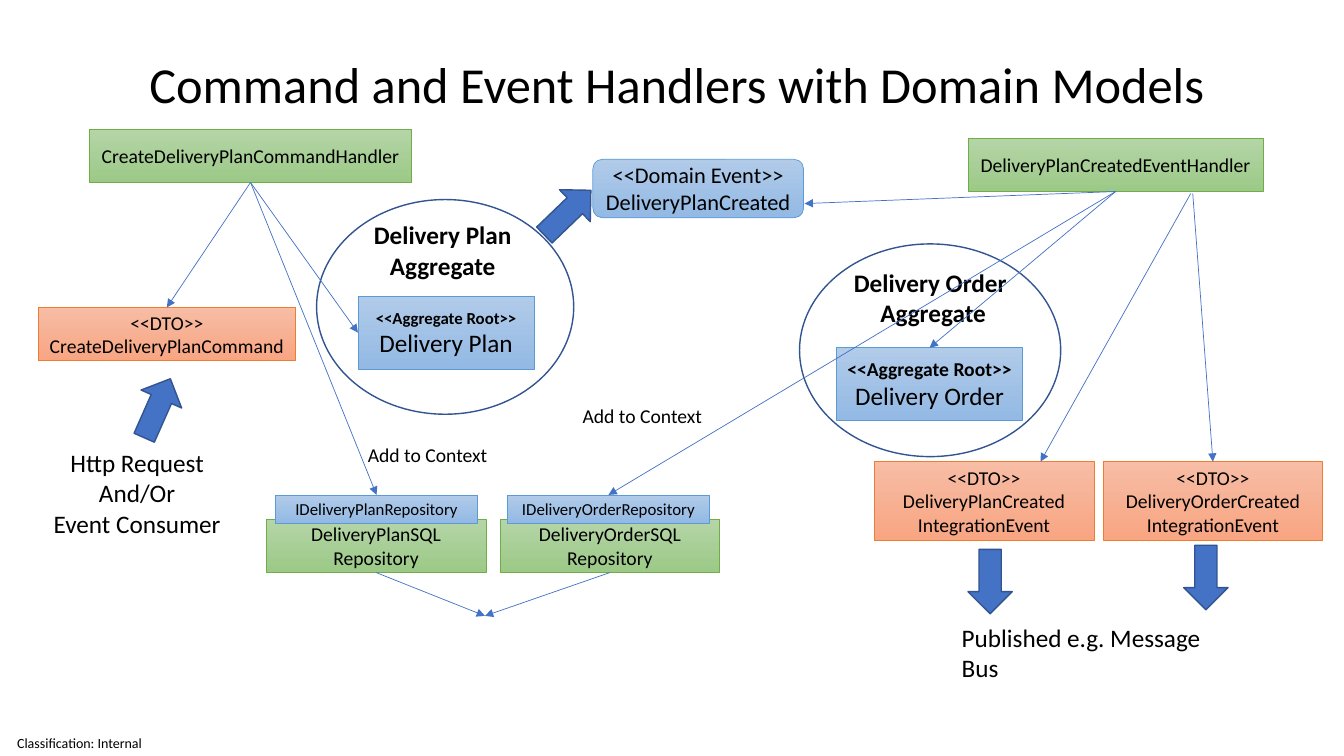
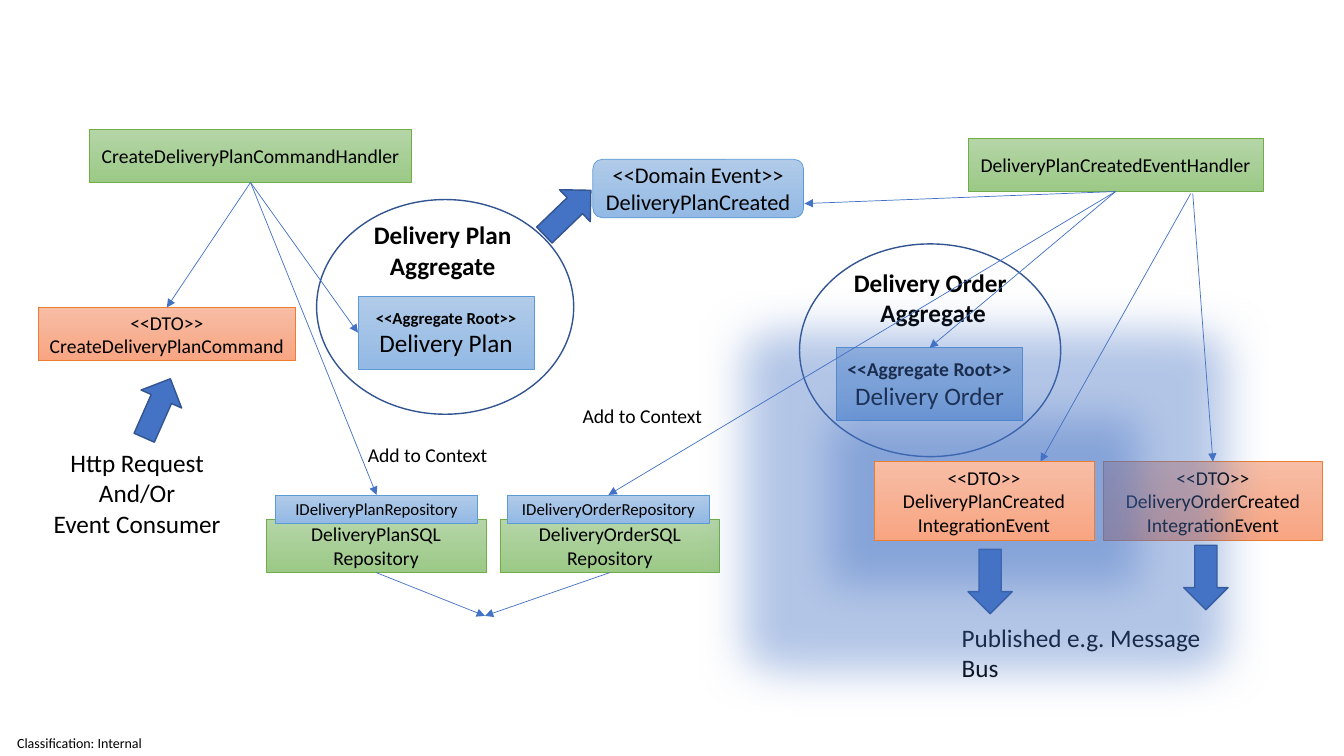
import pptx
import pptx.util
import pptx.dml.color
import pptx.enum.shapes
import pptx.enum.text
import pptx.oxml.ns
import lxml.etree

Inches = pptx.util.Inches
Pt = pptx.util.Pt
MSO_SHAPE = pptx.enum.shapes.MSO_SHAPE
ALIGN = pptx.enum.text.PP_ALIGN
ANCHOR = pptx.enum.text.MSO_ANCHOR
qn = pptx.oxml.ns.qn

TOP, LEFT, BOTTOM = 0, 1, 2
DTO_SIZE = (2.18, 0.78)
SQL_SIZE = (2.18, 0.53)
INTERFACE_SIZE = (2.01, 0.28)


def rgb(value):
    return pptx.dml.color.RGBColor.from_string(value)


def write_text(shape, lines, size=14, bold=False, align=ALIGN.CENTER, color="000000",
               anchor=ANCHOR.MIDDLE, wrap=True, margin=None, spacing=None):
    """Fill a shape with lines; a line may be (text, overrides for size, bold, align)."""
    frame = shape.text_frame
    frame.word_wrap = wrap
    frame.vertical_anchor = anchor
    if margin is not None:
        frame.margin_left = frame.margin_right = Inches(margin)
        frame.margin_top = frame.margin_bottom = Inches(margin)
    for index, line in enumerate(lines):
        content, own = (line, {}) if isinstance(line, str) else line
        paragraph = frame.paragraphs[0] if index == 0 else frame.add_paragraph()
        paragraph.alignment = own.get("align", align)
        if spacing:
            paragraph.line_spacing = spacing
        run = paragraph.add_run()
        run.text = content
        run.font.name = Deck.FONT
        run.font.size = Pt(own.get("size", size))
        run.font.bold = own.get("bold", bold)
        run.font.color.rgb = rgb(color)


class Deck:
    FONT = "Calibri"
    ACCENT = "4472C4"
    OUTLINE = "325491"
    # gradient top, gradient bottom, border
    GREEN = ("B5D5A7", "9CC987", "70AD47")
    BLUE = ("B1CBE9", "93B9E4", "5B9BD5")
    ORANGE = ("F7BDA5", "F8A582", "ED7D31")

    def __init__(self):
        self.presentation = pptx.Presentation()
        self.presentation.slide_width = Inches(13.33)
        self.presentation.slide_height = Inches(7.5)
        self.slide = None

    def new_slide(self):
        self.slide = self.presentation.slides.add_slide(self.presentation.slide_layouts[6])
        self.label(0.17, 7.22, 1.4, 0.29, ["Classification: Internal"], size=10,
                   align=ALIGN.LEFT, anchor=ANCHOR.MIDDLE, margin=0)

    def title(self, content):
        self.label(0.68, 0.56, 12.07, 0.62, [content], size=36, wrap=True,
                   anchor=ANCHOR.BOTTOM, spacing=0.9)

    def label(self, left, top, width, height, lines, **text_format):
        box = self.slide.shapes.add_textbox(Inches(left), Inches(top), Inches(width), Inches(height))
        write_text(box, lines, **{"anchor": ANCHOR.TOP, "wrap": False, **text_format})

    def outlined(self, kind, left, top, width, height, color, weight):
        shape = self.slide.shapes.add_shape(
            kind, Inches(left), Inches(top), Inches(width), Inches(height))
        shape.shadow.inherit = False
        shape.line.color.rgb = rgb(color)
        shape.line.width = Pt(weight)
        return shape

    def box(self, left, top, width, height, palette, lines, kind=MSO_SHAPE.RECTANGLE,
            **text_format):
        *gradient, border = palette
        shape = self.outlined(kind, left, top, width, height, border, 0.5)
        shape.fill.gradient()
        shape.fill.gradient_angle = 270
        for stop, color in zip(shape.fill.gradient_stops, gradient):
            stop.color.rgb = rgb(color)
        write_text(shape, lines, margin=0.05, **text_format)
        return shape

    def add_glow(self, shape, radius):
        """Surround the shape with a translucent accent glow, radius in points."""
        effects = shape._element.spPr.find(qn("a:effectLst"))
        halo = lxml.etree.SubElement(effects, qn("a:glow"), rad=str(Pt(radius)))
        color = lxml.etree.SubElement(halo, qn("a:srgbClr"), val=self.ACCENT)
        lxml.etree.SubElement(color, qn("a:alpha"), val="40000")

    def ellipse(self, left, top, width, height):
        shape = self.outlined(MSO_SHAPE.OVAL, left, top, width, height, self.OUTLINE, 1)
        shape.fill.background()

    def block_arrow(self, left, top, rotation):
        shape = self.outlined(MSO_SHAPE.RIGHT_ARROW, left, top, 0.64, 0.44, self.OUTLINE, 1)
        shape.fill.solid()
        shape.fill.fore_color.rgb = rgb(self.ACCENT)
        shape.rotation = rotation

    def arrow(self, start, end):
        """Draw an arrow; each end is an (x, y) point or a (shape, side) pair."""
        points = [(0, 0) if hasattr(place[0], "shape_type") else place for place in (start, end)]
        line = self.slide.shapes.add_connector(
            pptx.enum.shapes.MSO_CONNECTOR.STRAIGHT,
            *(Inches(value) for point in points for value in point))
        for place, connect in ((start, line.begin_connect), (end, line.end_connect)):
            if hasattr(place[0], "shape_type"):
                connect(*place)
        line.line.color.rgb = rgb(self.ACCENT)
        line.line.width = Pt(0.5)
        lxml.etree.SubElement(line.line._get_or_add_ln(), qn("a:tailEnd"), type="triangle")
        lxml.etree.SubElement(line._element.spPr, qn("a:effectLst"))


def integration_event(deck, left, name):
    return deck.box(left, 4.58, *DTO_SIZE, deck.ORANGE, ["<<DTO>>", name, "IntegrationEvent"])


def plan_created_event(deck):
    return integration_event(deck, 8.67, "DeliveryPlanCreated")


def draw_plan_aggregate(deck):
    root = deck.box(3.55, 2.94, 1.75, 0.72, deck.BLUE,
                    [("<<Aggregate Root>>", {"size": 12, "bold": True}), "Delivery Plan"], size=18)
    deck.ellipse(3.14, 1.98, 2.55, 2.13)
    deck.label(3.61, 2.13, 1.63, 0.71,
               [("Delivery Plan", {"align": ALIGN.LEFT}), "Aggregate"], size=18, bold=True)
    return root


def draw_order_aggregate(deck):
    root = deck.box(8.3, 3.45, 1.84, 0.72, deck.BLUE,
                    [("<<Aggregate Root>>", {"size": 14, "bold": True}), "Delivery Order"], size=18)
    deck.ellipse(7.93, 2.42, 2.59, 2.11)
    deck.label(8.36, 2.6, 1.79, 0.71, ["Delivery Order ", "Aggregate"], size=18, bold=True)
    return root


def draw_repository(deck, sql_left, interface_left, entity):
    """Return the repository interface after joining its store to the shared context."""
    store = deck.box(sql_left, 5.15, *SQL_SIZE, deck.GREEN, [f"{entity}SQL", "Repository"])
    deck.arrow((store, BOTTOM), (4.81, 6.11))
    return deck.box(interface_left, 4.91, *INTERFACE_SIZE, deck.BLUE,
                    [f"I{entity}Repository"], size=12)


def draw_handlers(deck):
    plan_root = draw_plan_aggregate(deck)
    deck.box(5.88, 1.58, 2.09, 0.58, deck.BLUE, ["<<Domain Event>>", "DeliveryPlanCreated"],
             kind=MSO_SHAPE.ROUNDED_RECTANGLE, size=16)
    deck.block_arrow(5.31, 1.89, 316.1)
    command = deck.box(0.38, 3.05, 2.55, 0.53, deck.ORANGE,
                       ["<<DTO>>", "CreateDeliveryPlanCommand"])
    command_handler = deck.box(0.89, 1.28, 3.19, 0.53, deck.GREEN,
                               ["CreateDeliveryPlanCommandHandler"])
    event_handler = deck.box(9.6, 1.37, 2.93, 0.53, deck.GREEN,
                             ["DeliveryPlanCreatedEventHandler"])
    order_root = draw_order_aggregate(deck)

    plan_created_event(deck)
    deck.block_arrow(9.5, 5.55, 90)
    deck.label(9.44, 6.12, 2.75, 0.4, ["Published e.g. Message Bus"], size=18, align=ALIGN.LEFT)
    deck.block_arrow(1.24, 3.83, 293.9)
    deck.label(0.42, 4.39, 1.88, 1.01, ["Http Request", "And/Or", "Event Consumer"], size=18)
    plan_repository = draw_repository(deck, 2.64, 2.73, "DeliveryPlan")
    order_repository = draw_repository(deck, 4.96, 5.03, "DeliveryOrder")
    deck.block_arrow(11.64, 5.51, 90)
    order_created = integration_event(deck, 10.94, "DeliveryOrderCreated")

    for target in ((command, TOP), (plan_root, LEFT), (plan_repository, TOP)):
        deck.arrow((command_handler, BOTTOM), target)
    for target in ((7.98, 2.02), (order_root, TOP), (order_repository, TOP)):
        deck.arrow((event_handler, BOTTOM), target)
    deck.arrow((11.81, 1.92), (10.32, 4.58))
    deck.arrow((11.83, 1.92), (order_created, TOP))
    for left, top in ((3.55, 4.34), (5.68, 3.96)):
        deck.label(left, top, 1.4, 0.34, ["Add to Context"], align=ALIGN.LEFT)


def main():
    deck = Deck()
    deck.new_slide()
    deck.title("Command and Event Handlers with Domain Models")
    draw_handlers(deck)

    deck.new_slide()
    draw_handlers(deck)
    deck.add_glow(plan_created_event(deck), 63)
    deck.presentation.save("out.pptx")


if __name__ == "__main__":
    main()
